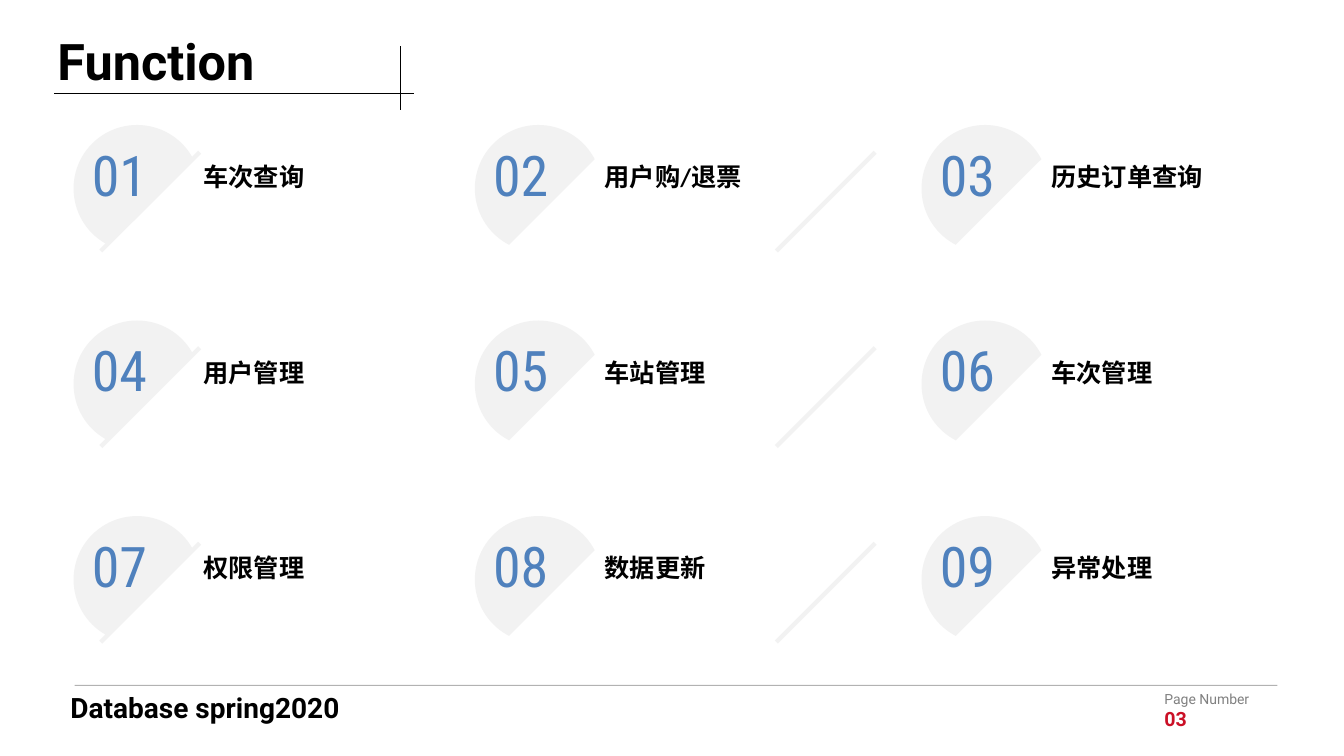
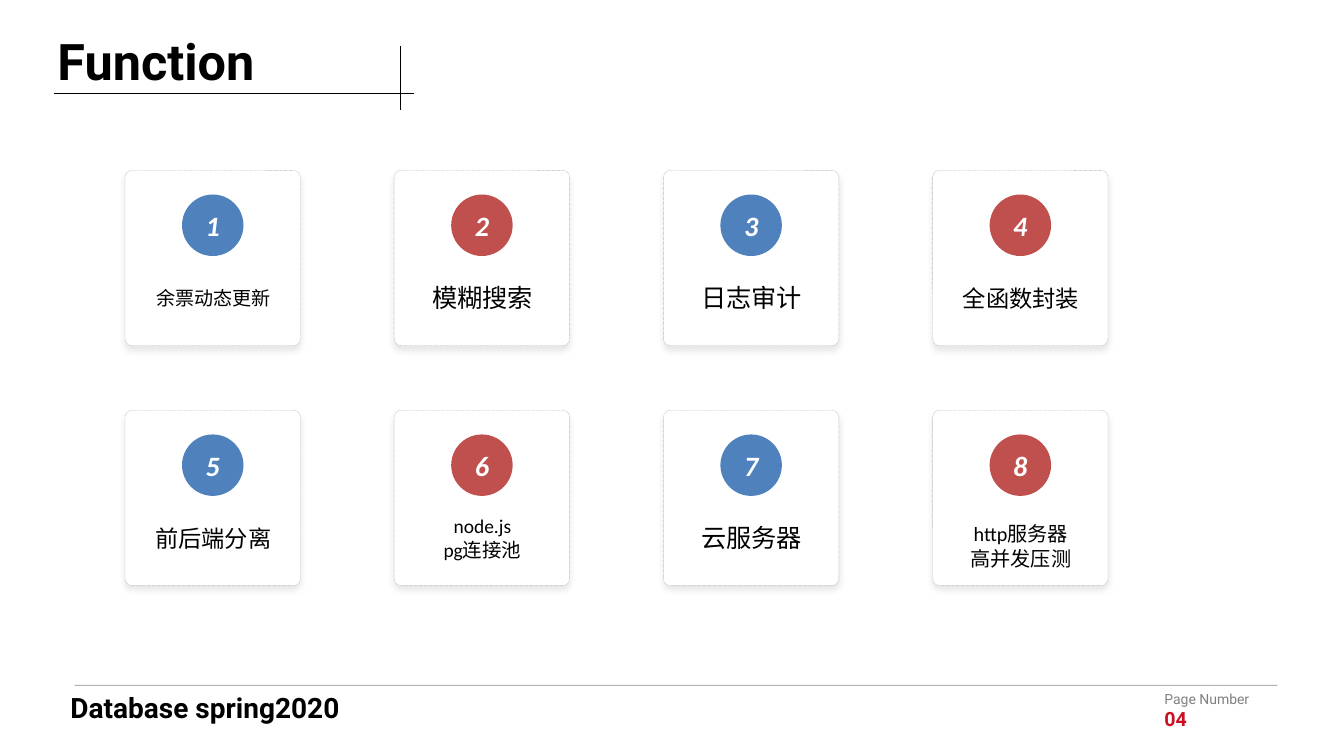
from lxml import etree
from pptx import Presentation
from pptx.dml.color import RGBColor
from pptx.enum.dml import MSO_LINE
from pptx.enum.shapes import MSO_CONNECTOR, MSO_SHAPE
from pptx.enum.text import MSO_ANCHOR, MSO_AUTO_SIZE, PP_ALIGN
from pptx.oxml.ns import qn
from pptx.util import Inches, Pt

TITLE = "Function"
FOOTER = "Database spring2020"
PAGE_LABEL = "Page Number"
FEATURES = ["车次查询", "用户购/退票", "历史订单查询",
            "用户管理", "车站管理", "车次管理",
            "权限管理", "数据更新", "异常处理"]
CARDS = [("余票动态更新", 13.6), ("模糊搜索", 18), ("日志审计", 18), ("全函数封装", 16.6),
         ("前后端分离", 16.6), ("node.js\npg连接池", 13.9), ("云服务器", 18),
         ("http服务器\n高并发压测", 14.4)]

BLACK = RGBColor(0x00, 0x00, 0x00)
WHITE = RGBColor(0xFF, 0xFF, 0xFF)
GRAY = RGBColor(0x80, 0x80, 0x80)
PALE = RGBColor(0xF2, 0xF2, 0xF2)
BORDER = RGBColor(0xBF, 0xBF, 0xBF)
CRIMSON = RGBColor(0xCB, 0x10, 0x26)
BLUE = RGBColor(0x4F, 0x81, 0xBD)
RED = RGBColor(0xC0, 0x50, 0x4D)

HEADING_FONT = "Roboto"
NUMBER_FONT = "Roboto Condensed"
BODY_FONT = "Calibri"
LEFT, CENTER = PP_ALIGN.LEFT, PP_ALIGN.CENTER
TOP, MIDDLE = MSO_ANCHOR.TOP, MSO_ANCHOR.MIDDLE
FIXED = MSO_AUTO_SIZE.NONE
STRAIGHT = MSO_CONNECTOR.STRAIGHT
CHORD, OVAL, ROUNDED = MSO_SHAPE.CHORD, MSO_SHAPE.OVAL, MSO_SHAPE.ROUNDED_RECTANGLE
DOTTED = MSO_LINE.ROUND_DOT

SLIDE_WIDTH, SLIDE_HEIGHT = 13.33, 7.5
TITLE_BOX = (0.47, 0.25, 3.43, 0.71)
FOOTER_TOP = 6.8

FEATURE_LEFTS = [0.73, 4.71, 9.14]
FEATURE_TOP, FEATURE_PITCH = 1.24, 1.94
DISC_SIZE = 1.26
DISC_ANGLES = (117.5, 332.5)
SLASH_OFFSETS = [0.27, 2.99, None]
SLASH_SIZE = 0.98

CARD_COLUMNS = 4
CARD_LEFT, CARD_TOP = 1.24, 1.69
CARD_PITCH_X, CARD_PITCH_Y = 2.67, 2.38
CARD_SIZE, BADGE_SIZE = 1.74, 0.61
TWO_LINE_DROP = 0.08


def write(shape, text, size, color, font, bold=False, italic=False,
          align=LEFT, anchor=TOP):
    frame = shape.text_frame
    frame.text = text
    frame.word_wrap = True
    frame.auto_size = FIXED
    frame.vertical_anchor = anchor
    for paragraph in frame.paragraphs:
        paragraph.alignment = align
        for run in paragraph.runs:
            style(run, size, color, font, bold, italic)


def style(run, size, color, font, bold=False, italic=False):
    run.font.size = Pt(size)
    run.font.color.rgb = color
    run.font.name = font
    run.font.bold = bold
    run.font.italic = italic


def add_text(slide, box, text, size, color, font, **options):
    shape = slide.shapes.add_textbox(*map(Inches, box))
    write(shape, text, size, color, font, **options)
    return shape


def add_line(slide, start, end, color=BLACK, width=0.75, opacity=None):
    line = slide.shapes.add_connector(STRAIGHT, *map(Inches, start + end))
    line.line.color.rgb = color
    line.line.width = Pt(width)
    properties = line.element.spPr
    if opacity:
        tint = properties.find(".//" + qn("a:srgbClr"))
        etree.SubElement(tint, qn("a:alpha"), val=str(opacity * 1000))
    etree.SubElement(properties, qn("a:effectLst"))


def add_filled(slide, kind, box, color):
    shape = slide.shapes.add_shape(kind, *map(Inches, box))
    shape.shadow.inherit = False
    shape.fill.solid()
    shape.fill.fore_color.rgb = color
    shape.line.fill.background()
    return shape


def add_soft_shadow(shape):
    effects = shape.element.spPr.find(qn("a:effectLst"))
    shadow = etree.SubElement(effects, qn("a:outerShdw"), blurRad=str(Pt(5)),
                              dist=str(Pt(3)), dir="5400000", algn="t", rotWithShape="0")
    color = etree.SubElement(shadow, qn("a:srgbClr"), val=str(BLACK))
    etree.SubElement(color, qn("a:alpha"), val="10000")


def add_base_slide(presentation, number):
    slide = presentation.slides.add_slide(presentation.slide_layouts[5])
    title = slide.shapes.title
    title.left, title.top, title.width, title.height = map(Inches, TITLE_BOX)
    write(title, TITLE, 36, BLACK, HEADING_FONT, bold=True)
    add_line(slide, (0.54, 0.93), (4.11, 0.93))
    add_line(slide, (3.97, 0.46), (3.97, 1.09))

    add_line(slide, (0.74, FOOTER_TOP), (12.67, FOOTER_TOP), opacity=30)
    add_text(slide, (0.6, FOOTER_TOP, 3.19, 0.44), FOOTER, 20, BLACK, HEADING_FONT, bold=True)
    page = add_text(slide, (11.45, FOOTER_TOP, 1.29, 0.54), f"{PAGE_LABEL}\n{number:02d}",
                    10, GRAY, HEADING_FONT)
    style(page.text_frame.paragraphs[1].runs[0], 14, CRIMSON, HEADING_FONT, bold=True)
    return slide


def add_feature(slide, index, text):
    row, column = divmod(index, len(FEATURE_LEFTS))
    left = FEATURE_LEFTS[column]
    top = FEATURE_TOP + row * FEATURE_PITCH
    disc = add_filled(slide, CHORD, (left, top, DISC_SIZE, DISC_SIZE), PALE)
    for position, angle in enumerate(DISC_ANGLES):
        disc.adjustments[position] = angle * 0.6
    offset = SLASH_OFFSETS[column]
    if offset is not None:
        start = left + offset
        add_line(slide, (start + SLASH_SIZE, top + 0.27),
                 (start, top + 0.27 + SLASH_SIZE), PALE, 3)
    add_text(slide, (left, top + 0.1, 0.91, 0.77), f"{index + 1:02d}", 40, BLUE,
             NUMBER_FONT, align=CENTER, anchor=MIDDLE)
    add_text(slide, (left + 1.19, top + 0.27, 2.8, 0.48), text, 18, BLACK,
             BODY_FONT, bold=True, anchor=MIDDLE)


def add_card(slide, index, text, size):
    row, column = divmod(index, CARD_COLUMNS)
    left = CARD_LEFT + column * CARD_PITCH_X
    top = CARD_TOP + row * CARD_PITCH_Y
    card = add_filled(slide, ROUNDED, (left, top, CARD_SIZE, CARD_SIZE), WHITE)
    card.adjustments[0] = 0.04
    card.line.color.rgb = BORDER
    card.line.width = Pt(0.25)
    card.line.dash_style = DOTTED
    add_soft_shadow(card)

    badge_left = left + (CARD_SIZE - BADGE_SIZE) / 2
    badge = add_filled(slide, OVAL, (badge_left, top + 0.24, BADGE_SIZE, BADGE_SIZE),
                       (BLUE, RED)[column % 2])
    write(badge, str(index + 1), 20, WHITE, BODY_FONT, bold=True, italic=True,
          align=CENTER, anchor=MIDDLE)
    drop = TWO_LINE_DROP if index == len(CARDS) - 1 else 0
    add_text(slide, (left + 0.17, top + 1.02 + drop, 1.41, 0.49), text, size, BLACK,
             BODY_FONT, align=CENTER, anchor=MIDDLE)


def main():
    presentation = Presentation()
    presentation.slide_width = Inches(SLIDE_WIDTH)
    presentation.slide_height = Inches(SLIDE_HEIGHT)

    feature_slide = add_base_slide(presentation, 3)
    for index, text in enumerate(FEATURES):
        add_feature(feature_slide, index, text)

    card_slide = add_base_slide(presentation, 4)
    for index, (text, size) in enumerate(CARDS):
        add_card(card_slide, index, text, size)

    presentation.save("out.pptx")


if __name__ == "__main__":
    main()
